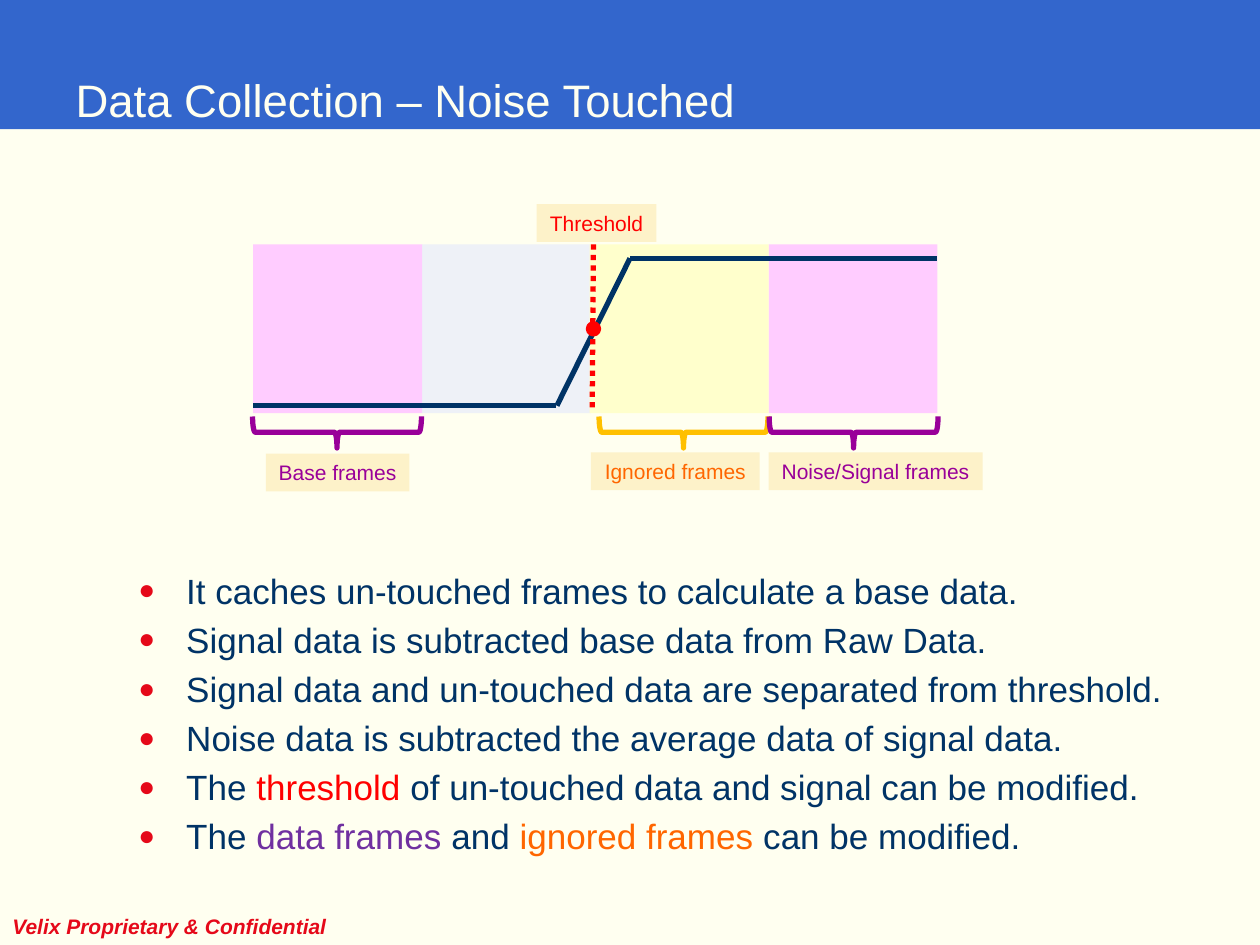
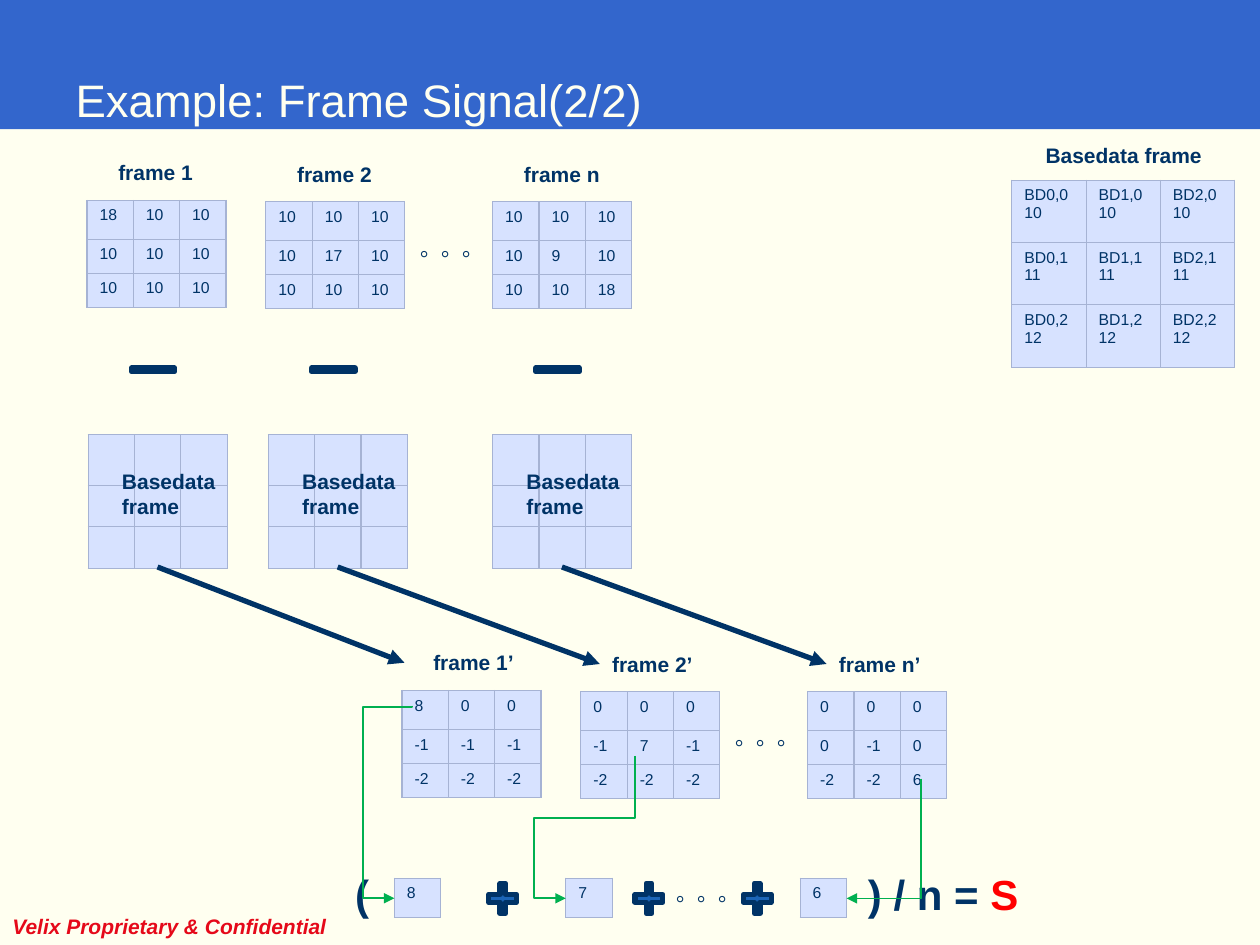
from dataclasses import dataclass

from lxml.etree import SubElement
from pptx import Presentation
from pptx.dml.color import RGBColor
from pptx.enum.dml import MSO_LINE
from pptx.enum.shapes import MSO_CONNECTOR as CXN, MSO_SHAPE as SHP
from pptx.enum.text import MSO_ANCHOR, MSO_AUTO_SIZE, PP_ALIGN
from pptx.oxml import parse_xml
from pptx.oxml.ns import nsdecls, qn
from pptx.util import Inches, Pt

COLUMNS, ROWS = 100, 75
UNIT = 0.1


@dataclass(frozen=True)
class Theme:
    font: str = "Arial"
    paper: str = "FFFFF0"
    band: str = "3366CC"
    footer: str = "E50919"
    ink: str = "003366"
    red: str = "FF0000"
    orange: str = "FF6600"
    gold: str = "FFC000"
    purple: str = "990099"
    violet: str = "7030A0"
    pink: str = "FFCCFF"
    mist: str = "EEF1F7"
    lemon: str = "FFFFCC"
    label: str = "FDF2C9"
    sign: str = "1B65B7"
    cell: str = "D7E2FF"
    border: str = "A6B3D4"
    green: str = "00B050"
    title_size: int = 26
    sum_size: int = 24
    body_size: int = 20
    label_size: int = 12
    cell_size: int = 9
    heavy: float = 3
    fine: float = 1


T = Theme()


def rgb(color):
    return RGBColor.from_string(color)


def grid(*cells):
    return [Inches(c * UNIT) for c in cells]


def apply(obj, **values):
    for name, value in values.items():
        setattr(obj, name, value)


def write(p, runs, size, bold=False, italic=False):
    for words, color in runs:
        r = p.add_run()
        r.text = words
        apply(r.font, name=T.font, size=Pt(size), bold=bold, italic=italic)
        r.font.color.rgb = rgb(color)


def add_text(s, x, y, w, h, runs, size=T.label_size, bold=True, italic=False, wrap=False):
    tf = s.shapes.add_textbox(*grid(x, y, w, h)).text_frame
    apply(tf, word_wrap=wrap, auto_size=MSO_AUTO_SIZE.SHAPE_TO_FIT_TEXT)
    write(tf.paragraphs[0], runs, size, bold, italic)


def add_shape(s, kind, x, y, w, h, fill=None, line=None):
    sp = s.shapes.add_shape(kind, *grid(x, y, w, h))
    sp.shadow.inherit = False
    if fill:
        sp.fill.solid()
        sp.fill.fore_color.rgb = rgb(fill)
    else:
        sp.fill.background()
    if line:
        sp.line.color.rgb = rgb(line)
        sp.line.width = Pt(T.heavy)
    else:
        sp.line.fill.background()
    return sp


def add_label(s, x, y, w, words, color):
    tf = add_shape(s, SHP.RECTANGLE, x, y, w, 3, T.label).text_frame
    apply(tf, word_wrap=False, vertical_anchor=MSO_ANCHOR.TOP)
    tf.paragraphs[0].alignment = PP_ALIGN.CENTER
    write(tf.paragraphs[0], [(words, color)], T.label_size)


def add_brace(s, center, color):
    brace = add_shape(s, SHP.LEFT_BRACE, center - 1.25, 27.6, 2.5, 13.4, line=color)
    brace.rotation = 270
    brace.adjustments[0] = 0.083


def style_line(cxn, color, width, arrow):
    cxn.line.color.rgb = rgb(color)
    cxn.line.width = Pt(width)
    if arrow:
        SubElement(cxn.line._get_or_add_ln(), qn("a:tailEnd"), type="triangle")
    SubElement(cxn._element.spPr, qn("a:effectLst"))


def add_line(s, start, end, color=T.ink, arrow=False, dash=None):
    cxn = s.shapes.add_connector(CXN.STRAIGHT, *grid(*start, *end))
    if dash:
        cxn.line.dash_style = dash
    style_line(cxn, color, T.heavy, arrow)


def add_elbow(s, start, end, turn=None):
    (x1, y1), (x2, y2) = start, end
    across, down = x1 - x2, y2 - y1
    left, top = (x1 + x2 - down) / 2, (y1 + y2 - across) / 2
    cxn = s.shapes.add_connector(CXN.ELBOW, *grid(left, top, left + down, top + across))
    spPr = cxn._element.spPr
    spPr.find(qn("a:xfrm")).set("rot", str(90 * 60000))
    geom = spPr.find(qn("a:prstGeom"))
    geom.set("prst", "bentConnector4" if turn else "bentConnector2")
    if turn:
        guides = geom.find(qn("a:avLst"))
        shares = ((turn[1] - y1) / down, (x1 - turn[0]) / across)
        for n, share in enumerate(shares, 1):
            SubElement(guides, qn("a:gd"), name=f"adj{n}", fmla=f"val {round(share * 100000)}")
    style_line(cxn, T.green, T.fine, True)


def style_cell(cell, words):
    cell.fill.solid()
    cell.fill.fore_color.rgb = rgb(T.cell)
    tcPr = cell._tc.get_or_add_tcPr()
    for i, side in enumerate(("lnL", "lnR", "lnT", "lnB")):
        tcPr.insert(i, parse_xml(
            f'<a:{side} {nsdecls("a")} w="{Pt(0.75)}"><a:solidFill>'
            f'<a:srgbClr val="{T.border}"/></a:solidFill></a:{side}>'))
    tf = cell.text_frame
    for i, line in enumerate(words.split("\n")):
        p = tf.add_paragraph() if i else tf.paragraphs[0]
        if line:
            write(p, [(line, T.ink)], T.cell_size)
        else:
            p._p.get_or_add_endParaRPr().set("sz", str(T.cell_size * 100))


def add_grid(s, x, y, rows, heights, col=3.68):
    shape = s.shapes.add_table(len(rows), len(rows[0]), *grid(x, y, col * len(rows[0]), sum(heights)))
    table = shape.table
    apply(table, first_row=False, horz_banding=False)
    for column in table.columns:
        column.width = Inches(col * UNIT)
    for r, (words, height) in enumerate(zip(rows, heights)):
        table.rows[r].height = Inches(height * UNIT)
        for c, word in enumerate(words):
            style_cell(table.cell(r, c), word)


def add_frame(s, x, y, name, values):
    add_grid(s, x, y, [row.split() for row in values.split("/")], (3.1, 2.7, 2.7))
    add_text(s, x + 1.5, y - 3.7, 9.5, 3, [(name, T.ink)], wrap=True)


def add_dots(s, x, y):
    add_text(s, x, y, 7.1, 3, [("。。。", T.ink)], bold=False)


def add_slide(prs, title):
    s = prs.slides.add_slide(prs.slide_layouts[5])
    sp = s.shapes.title
    apply(sp, **dict(zip(("left", "top", "width", "height"), grid(5, 1.65, 90, 12.5))))
    tf = sp.text_frame
    apply(tf, word_wrap=True, auto_size=MSO_AUTO_SIZE.NONE, vertical_anchor=MSO_ANCHOR.MIDDLE)
    tf.paragraphs[0].alignment = PP_ALIGN.LEFT
    write(tf.paragraphs[0], [(title, T.paper)], T.title_size)
    return s


def add_band_and_footer(prs, s):
    fill = prs.slide_master.background.fill
    fill.solid()
    fill.fore_color.rgb = rgb(T.paper)
    add_shape(s, SHP.RECTANGLE, 0, 0, COLUMNS, 10.25, T.band)
    add_text(s, 0, 72, 28.1, 3, [("Velix Proprietary & Confidential", T.footer)],
             italic=True, wrap=True)
    tree = s.slide_layout.shapes._spTree
    for i, sp in enumerate(list(s.shapes)[1:]):
        tree.insert(2 + i, sp._element)


def add_bullets(s, x, y, w, h, items):
    tf = s.shapes.add_textbox(*grid(x, y, w, h)).text_frame
    tf.word_wrap = True
    for i, runs in enumerate(items):
        p = tf.add_paragraph() if i else tf.paragraphs[0]
        p.space_before = Pt(4)
        write(p, runs, T.body_size)
        pPr = p._p.get_or_add_pPr()
        for name, indent in {"marL": 0.38, "indent": -0.38}.items():
            pPr.set(name, str(Inches(indent)))
        SubElement(SubElement(pPr, qn("a:buClr")), qn("a:srgbClr"), val=T.footer)
        SubElement(pPr, qn("a:buSzPct"), val="80000")
        SubElement(pPr, qn("a:buFont"), typeface=T.font)
        SubElement(pPr, qn("a:buChar"), char="●")


def draw_collection(s):
    zones = [(33.5, 13.4, T.mist), (20.1, 13.4, T.pink), (61, 13.4, T.pink), (46.8, 14.2, T.lemon)]
    for x, w, color in zones:
        add_shape(s, SHP.RECTANGLE, x, 19.4, w, 13.4, color)
    for start, end in [((20.1, 32.2), (44.1, 32.2)), ((44.2, 32.2), (50, 20.5)), ((50, 20.5), (74.4, 20.5))]:
        add_line(s, start, end)
    add_shape(s, SHP.OVAL, 46.7, 25.7, 0.8, 0.8, T.red, T.red)
    add_line(s, (47.1, 19.4), (47, 32.4), T.red, dash=MSO_LINE.ROUND_DOT)
    for center, color in [(54.25, T.gold), (26.75, T.purple), (67.75, T.purple)]:
        add_brace(s, center, color)
    add_label(s, 42.6, 16.2, 9.5, "Threshold", T.red)
    add_label(s, 46.9, 35.9, 13.4, "Ignored frames", T.orange)
    add_label(s, 21.1, 36, 11.4, "Base frames", T.purple)
    add_label(s, 61, 35.9, 17, "Noise/Signal frames", T.purple)
    plain = ["It caches un-touched frames to calculate a base data.",
             "Signal data is subtracted base data from Raw Data.",
             "Signal data and un-touched data are separated from threshold.",
             "Noise data is subtracted the average data of signal data."]
    add_bullets(s, 10, 44.7, 85, 25.1, [[(words, T.ink)] for words in plain] + [
        [("The ", T.ink), ("threshold", T.red),
         (" of un-touched data and signal can be modified.", T.ink)],
        [("The ", T.ink), ("data frames ", T.violet), ("and ", T.ink),
         ("ignored frames ", T.orange), ("can be modified.", T.ink)]])


def draw_signal(s):
    frames = [
        ("1", 6.9, 15.9, 7, 0.2, "18 10 10/10 10 10/10 10 10", "8 0 0/-1 -1 -1/-2 -2 -2"),
        ("2", 21.1, 16, 21.3, 1.5, "10 10 10/10 17 10/10 10 10", "0 0 0/-1 7 -1/-2 -2 -2"),
        ("n", 39.1, 16, 39.1, 1.5, "10 10 10/10 9 10/10 10 18", "0 0 0/0 -1 0/-2 -2 6")]
    for name, x, y, base_x, tip, raw, signal in frames:
        signal_x, signal_y = x + 25, y + 38.9
        add_frame(s, x, y, f"frame {name}", raw)
        add_frame(s, signal_x, signal_y, f"frame {name}’", signal)
        add_grid(s, base_x, 34.5, [[""] * 3] * 3, (4, 3.3, 3.3))
        add_shape(s, SHP.MATH_MINUS, base_x + 2.8, 28.8, 4.7, 1.1, T.sign, T.ink)
        add_text(s, base_x + 1.7, 36.7, 11.7, 5, [("Basedata frame", T.ink)], wrap=True)
        add_line(s, (base_x + 5.5, 45), (signal_x + tip, signal_y - 2.2), arrow=True)
    base = [[f"BD{c},{r}\n{10 + r}" for c in range(3)] for r in range(3)]
    add_grid(s, 80.3, 14.3, base, [4.95] * 3, 5.9)
    add_text(s, 82, 10.8, 15, 3, [("Basedata frame", T.ink)], wrap=True)
    for x, value in [(31.3, "8"), (44.9, "7"), (63.5, "6")]:
        add_grid(s, x, 69.7, [[value]], [3.1])
    for x in (38.8, 50.4, 59):
        add_shape(s, SHP.CROSS, x, 70.1, 2.2, 2.4, T.sign, T.ink).adjustments[0] = 0.404
    for x, y in [(32.4, 18.2), (57.4, 57), (52.7, 69.4)]:
        add_dots(s, x, y)
    add_text(s, 27.2, 68.4, 4.4, 5, [("(", T.ink)], T.sum_size, wrap=True)
    add_text(s, 67.9, 68.4, 15.3, 5, [(") / n = ", T.ink), ("S", T.red)], T.sum_size, wrap=True)
    add_elbow(s, (32.7, 56), (31.3, 71.3), (28.8, 56.1))
    add_elbow(s, (50.4, 60), (44.9, 71.3), (42.4, 64.9))
    add_elbow(s, (73.1, 61.8), (67.2, 71.3))


def main():
    prs = Presentation()
    apply(prs, slide_width=Inches(COLUMNS * UNIT), slide_height=Inches(ROWS * UNIT))
    collection = add_slide(prs, "Data Collection – Noise Touched")
    add_band_and_footer(prs, collection)
    draw_collection(collection)
    draw_signal(add_slide(prs, "Example: Frame Signal(2/2)"))
    prs.save("out.pptx")


if __name__ == "__main__":
    main()
